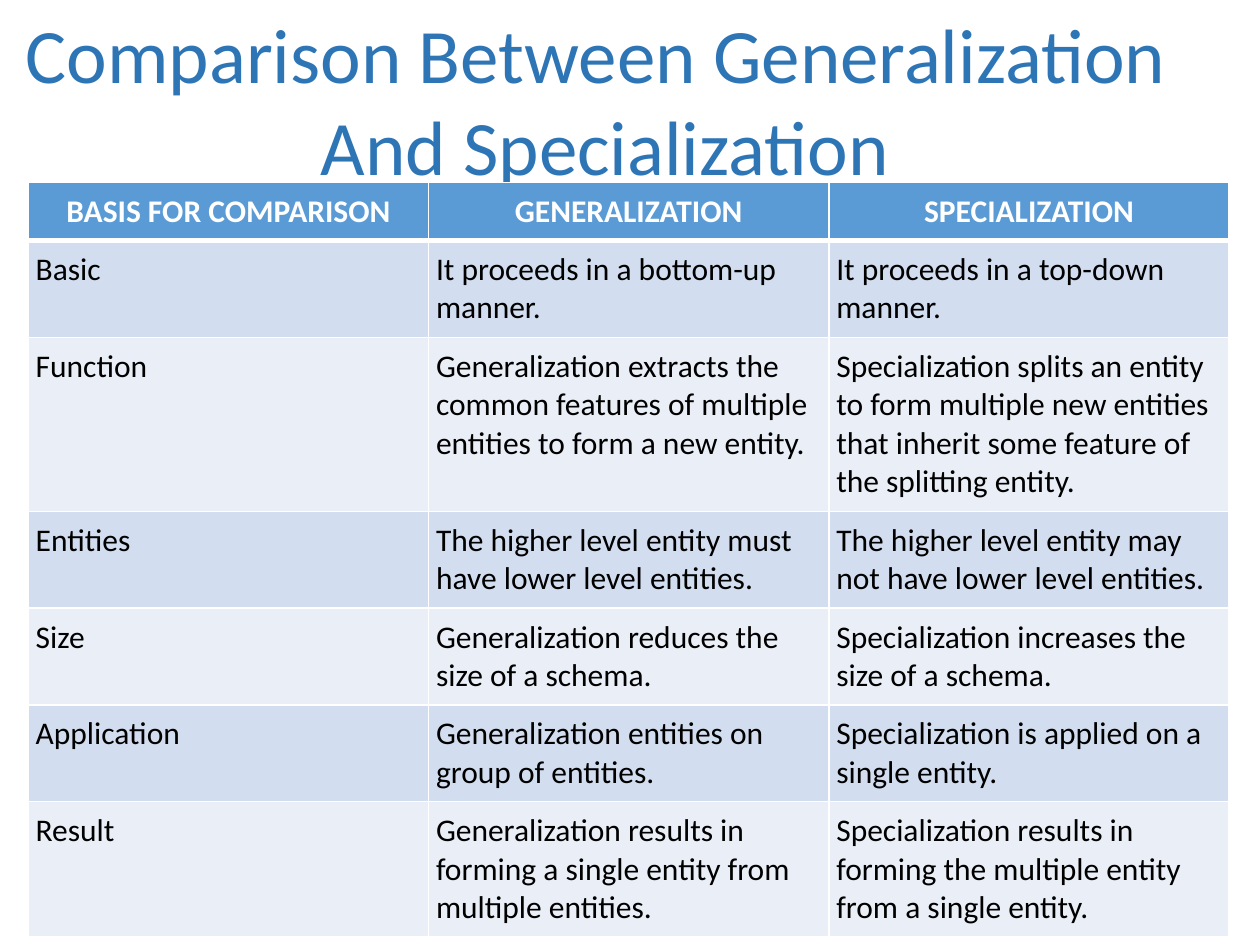
from lxml.etree import SubElement
from pptx import Presentation
from pptx.dml.color import RGBColor
from pptx.enum.text import MSO_ANCHOR, PP_ALIGN
from pptx.oxml.ns import qn
from pptx.util import Cm, Pt

COLORS = {
    "title": "2E75B6",
    "header": "5B9BD5",
    "band_dark": "D2DEEF",
    "band_light": "EAEFF7",
    "white": "FFFFFF",
    "black": "000000",
}
FONT = "Calibri"
LINE_HEIGHT = 0.78
ROW_PADDING = 0.39

TITLE = ["Comparison Between Generalization ", "And Specialization"]
HEADER = ["BASIS FOR COMPARISON", "GENERALIZATION", "SPECIALIZATION"]
ROWS = [
    (2, "Basic", "It proceeds in a bottom-up manner.",
     "It proceeds in a top-down manner."),
    (4, "Function",
     "Generalization extracts the common features of multiple entities to form a new entity.",
     "Specialization splits an entity to form multiple new entities that inherit some "
     "feature of the splitting entity."),
    (2, "Entities", "The higher level entity must have lower level entities.",
     "The higher level entity may not have lower level entities."),
    (2, "Size", "Generalization reduces the size of a schema.",
     "Specialization increases the size of a schema."),
    (2, "Application", "Generalization entities on group of entities.",
     "Specialization is applied on a single entity."),
    (3, "Result",
     "Generalization results in forming a single entity from multiple entities.",
     "Specialization results in forming the multiple entity from a single entity."),
]


def rgb(name):
    return RGBColor.from_string(COLORS[name])


def add_run(p, text, size, color, bold=False):
    r = p.add_run()
    r.text = text
    r.font.name = FONT
    r.font.size = Pt(size)
    r.font.bold = bold
    r.font.color.rgb = rgb(color)


def add_title(s):
    sp = s.shapes.add_textbox(Cm(0.15), Cm(0), Cm(24.1), Cm(4.01))
    tf = sp.text_frame
    tf.word_wrap = True
    for i, line in enumerate(TITLE):
        p = tf.paragraphs[0] if i == 0 else tf.add_paragraph()
        p.alignment = PP_ALIGN.CENTER
        add_run(p, line, 44, "title")


def set_borders(cell, bottom):
    tc_pr = cell._tc.get_or_add_tcPr()
    for side, width in (("L", 1), ("R", 1), ("T", 1), ("B", bottom)):
        ln = SubElement(tc_pr, qn(f"a:ln{side}"), w=str(Pt(width)))
        fill = SubElement(ln, qn("a:solidFill"))
        SubElement(fill, qn("a:srgbClr"), val=COLORS["white"])


def fill_cell(cell, text, fill, header):
    set_borders(cell, 3 if header else 1)
    cell.fill.solid()
    cell.fill.fore_color.rgb = rgb(fill)
    cell.margin_left = cell.margin_right = Cm(0.15)
    cell.margin_top = cell.margin_bottom = Cm(0.2)
    cell.vertical_anchor = MSO_ANCHOR.MIDDLE if header else MSO_ANCHOR.TOP
    p = cell.text_frame.paragraphs[0]
    p.alignment = PP_ALIGN.CENTER if header else PP_ALIGN.LEFT
    add_run(p, text, 18, "white" if header else "black", header)


def add_comparison(s):
    rows = [(1, *HEADER), *ROWS]
    heights = [Cm(ROW_PADDING + LINE_HEIGHT * row[0]) for row in rows]
    table = s.shapes.add_table(len(rows), len(HEADER), Cm(0.57), Cm(3.68),
                               Cm(24.21), sum(heights)).table
    for i, (_, *texts) in enumerate(rows):
        table.rows[i].height = heights[i]
        band = "band_dark" if i % 2 else "band_light"
        for j, text in enumerate(texts):
            fill_cell(table.cell(i, j), text, "header" if i == 0 else band, i == 0)


def main():
    prs = Presentation()
    prs.slide_width, prs.slide_height = Cm(25.4), Cm(19.05)
    s = prs.slides.add_slide(prs.slide_layouts[6])
    add_title(s)
    add_comparison(s)
    prs.save("out.pptx")


if __name__ == "__main__":
    main()
